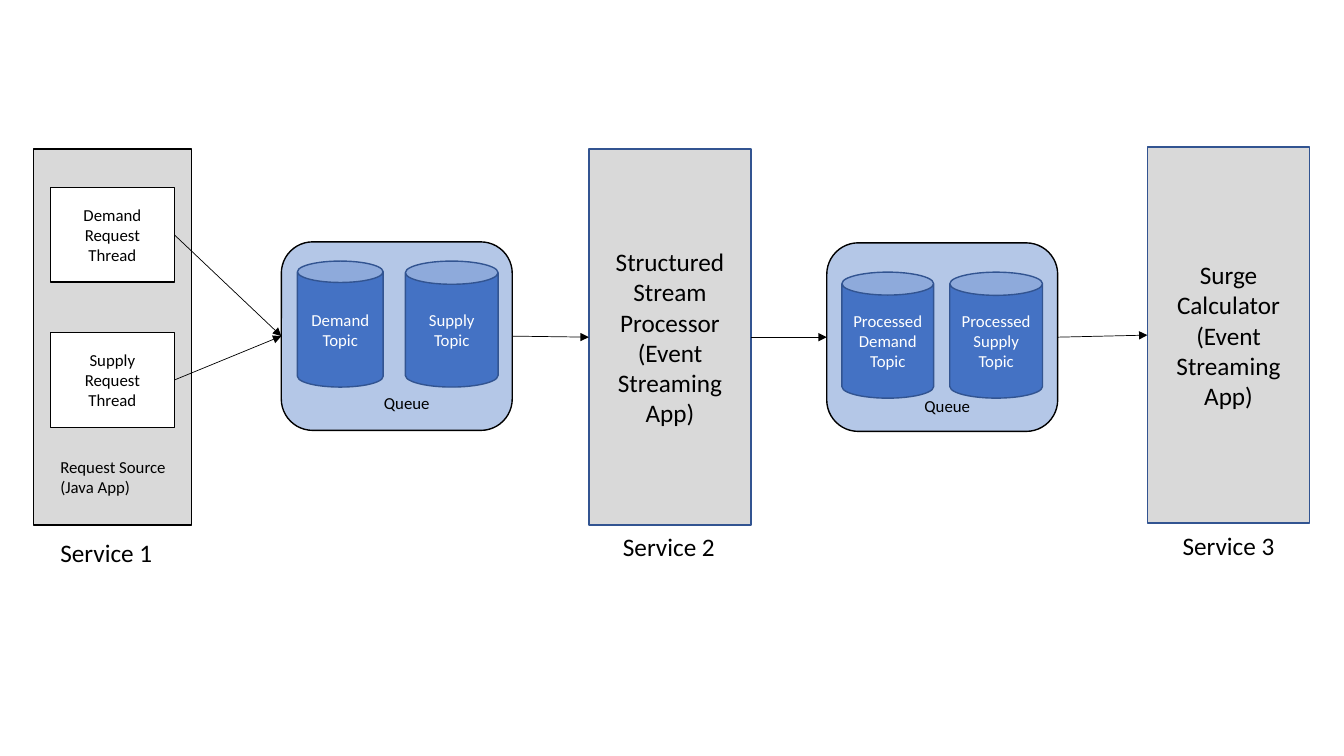
from lxml import etree
from pptx import Presentation
from pptx.dml.color import RGBColor
from pptx.enum.shapes import MSO_CONNECTOR, MSO_SHAPE
from pptx.enum.text import MSO_ANCHOR, PP_ALIGN
from pptx.oxml.ns import qn
from pptx.util import Inches, Pt

RECTANGLE = MSO_SHAPE.RECTANGLE
ROUNDED = MSO_SHAPE.ROUNDED_RECTANGLE
CAN = MSO_SHAPE.CAN
STRAIGHT = MSO_CONNECTOR.STRAIGHT
LEFT, CENTER = PP_ALIGN.LEFT, PP_ALIGN.CENTER
MIDDLE = MSO_ANCHOR.MIDDLE

BLACK = RGBColor(0x00, 0x00, 0x00)
WHITE = RGBColor(0xFF, 0xFF, 0xFF)
GRAY = RGBColor(0xD9, 0xD9, 0xD9)
PALE_BLUE = RGBColor(0xB4, 0xC7, 0xE7)
BLUE = RGBColor(0x44, 0x72, 0xC4)
DARK_BLUE = RGBColor(0x32, 0x54, 0x91)

FONT = "Calibri"
SMALL, LARGE = 12, 18
LEFT_SITE, RIGHT_SITE = 1, 3  # connection sites of rectangles

# The grid has ten columns and ten rows to the inch
CELL = Inches(0.1)
SERVICE_HEIGHT = 37.3
THREAD_SIZE = (12.3, 9.4)
BROKER_SIZE = (22.9, 18.7)
CAN_HEIGHT = 12.5

STREAMING_APP = "(Event Streaming App)"


def cells(*counts):
    return [round(count * CELL) for count in counts]


def write(shape, lines, size, color, alignment):
    """Put one paragraph per line into a shape."""
    frame = shape.text_frame
    frame.text = "\n".join(lines)
    for paragraph in frame.paragraphs:
        paragraph.alignment = alignment
        paragraph.font.name = FONT
        paragraph.font.size = Pt(size)
        paragraph.font.color.rgb = color


def add_box(slide, kind, place, fill, line, lines=(), size=SMALL, color=BLACK):
    shape = slide.shapes.add_shape(kind, *cells(*place))
    shape.shadow.inherit = False
    shape.fill.solid()
    shape.fill.fore_color.rgb = fill
    shape.line.color.rgb = line
    shape.line.width = Pt(1)
    if lines:
        shape.text_frame.word_wrap = True
        shape.text_frame.vertical_anchor = MIDDLE
        write(shape, lines, size, color, CENTER)
    return shape


def add_label(slide, place, lines, size=SMALL, wrap=True):
    label = slide.shapes.add_textbox(*cells(*place))
    label.text_frame.word_wrap = wrap
    write(label, lines, size, BLACK, LEFT)


def add_service(slide, left, top, width, line, lines=()):
    place = (left, top, width, SERVICE_HEIGHT)
    return add_box(slide, RECTANGLE, place, GRAY, line, lines, LARGE)


def add_broker(slide, left, top, can_top, topics, label_place):
    """Draw a message broker with a can for each (left, width, name) topic."""
    broker = add_box(slide, ROUNDED, (left, top, *BROKER_SIZE), PALE_BLUE, BLACK)
    for can_left, width, name in topics:
        place = (can_left, can_top, width, CAN_HEIGHT)
        add_box(slide, CAN, place, BLUE, DARK_BLUE, [name], SMALL, WHITE)
    add_label(slide, (*label_place, 6.9, 3), ["Queue"])
    return broker


def add_arrow(slide, source, target):
    arrow = slide.shapes.add_connector(STRAIGHT, 0, 0, 0, 0)
    arrow.begin_connect(source, RIGHT_SITE)
    arrow.end_connect(target, LEFT_SITE)
    arrow.line.color.rgb = BLACK
    arrow.line.width = Pt(0.5)
    etree.SubElement(arrow.line._get_or_add_ln(), qn("a:tailEnd"), type="triangle")
    etree.SubElement(arrow._element.spPr, qn("a:effectLst"))


def main():
    presentation = Presentation()
    presentation.slide_width = Inches(13.33)
    presentation.slide_height = Inches(7.5)
    slide = presentation.slides.add_slide(presentation.slide_layouts[6])

    # Service 1: request source with its two threads
    add_service(slide, 3.3, 14.8, 15.7, BLACK)
    add_label(slide, (5, 44.8, 14, 5), ["Request Source", "(Java App)"])
    threads = [
        add_box(slide, RECTANGLE, (5, top, *THREAD_SIZE), WHITE, BLACK,
                [f"{name} Request Thread"])
        for name, top in (("Demand", 18.6), ("Supply", 33))
    ]

    # Raw topics
    raw_broker = add_broker(
        slide, 27.9, 24, 25.9,
        [(29.5, 8.5, "Demand Topic"), (40.2, 9.2, "Supply Topic")],
        (37.1, 38.5))

    # Service 2: stream processor
    processor = add_service(
        slide, 58.4, 14.8, 16.1, DARK_BLUE,
        ["Structured Stream Processor", STREAMING_APP])

    # Processed topics
    processed_broker = add_broker(
        slide, 82, 24.1, 27,
        [(83.5, 9.1, "Processed Demand Topic"),
         (94.2, 9.2, "Processed Supply Topic")],
        (90.7, 38.8))

    # Service 3: surge calculator
    calculator = add_service(
        slide, 113.8, 14.6, 16.1, DARK_BLUE,
        ["Surge Calculator", STREAMING_APP])

    # Service captions
    captions = ((5, 52.8), (60.8, 52.2), (116.3, 52.1))
    for number, (left, top) in enumerate(captions, start=1):
        add_label(slide, (left, top, 11.2, 4), [f"Service {number}"], LARGE, False)

    # Data flow
    for thread in threads:
        add_arrow(slide, thread, raw_broker)
    stages = [raw_broker, processor, processed_broker, calculator]
    for source, target in zip(stages, stages[1:]):
        add_arrow(slide, source, target)

    presentation.save("out.pptx")


main()
